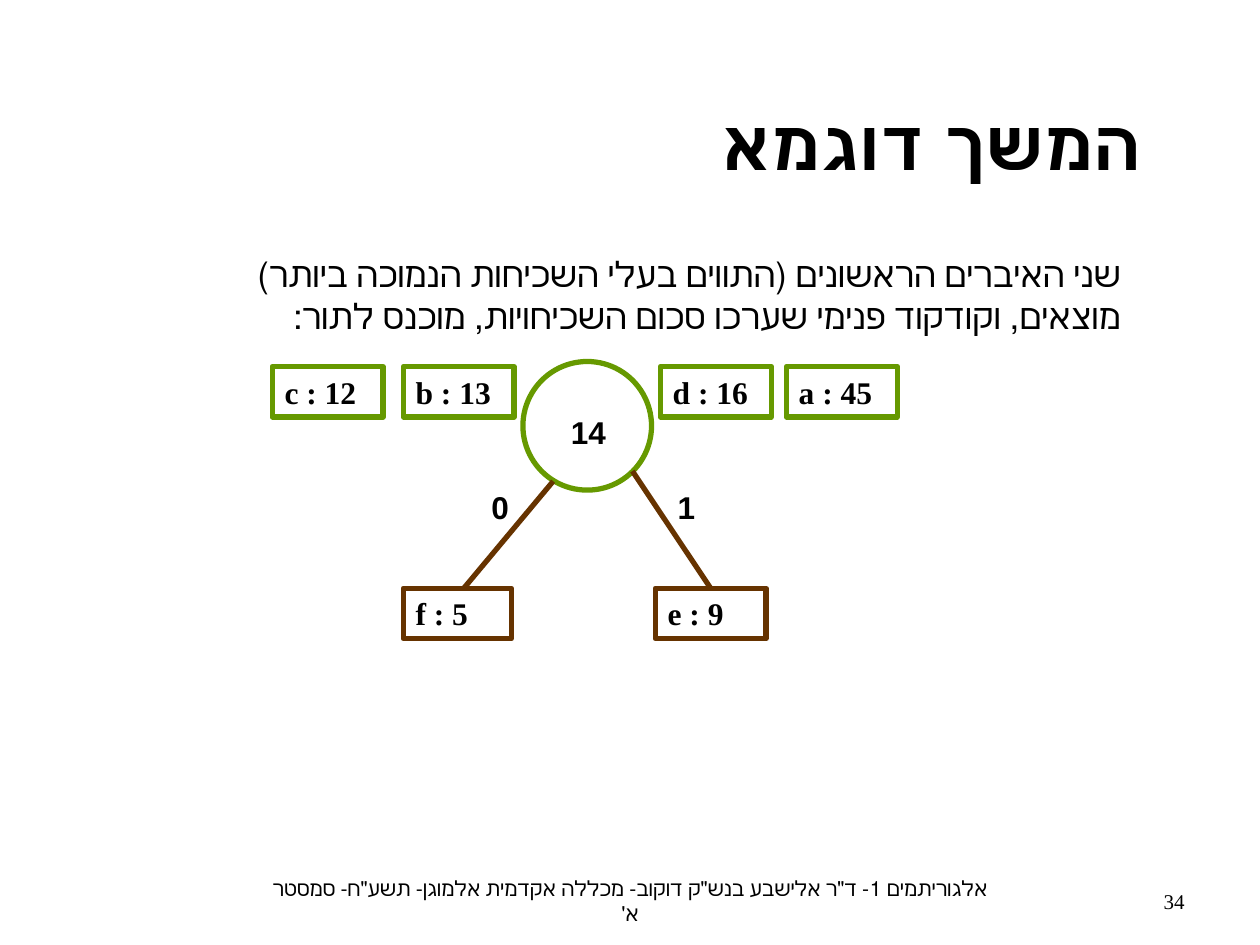
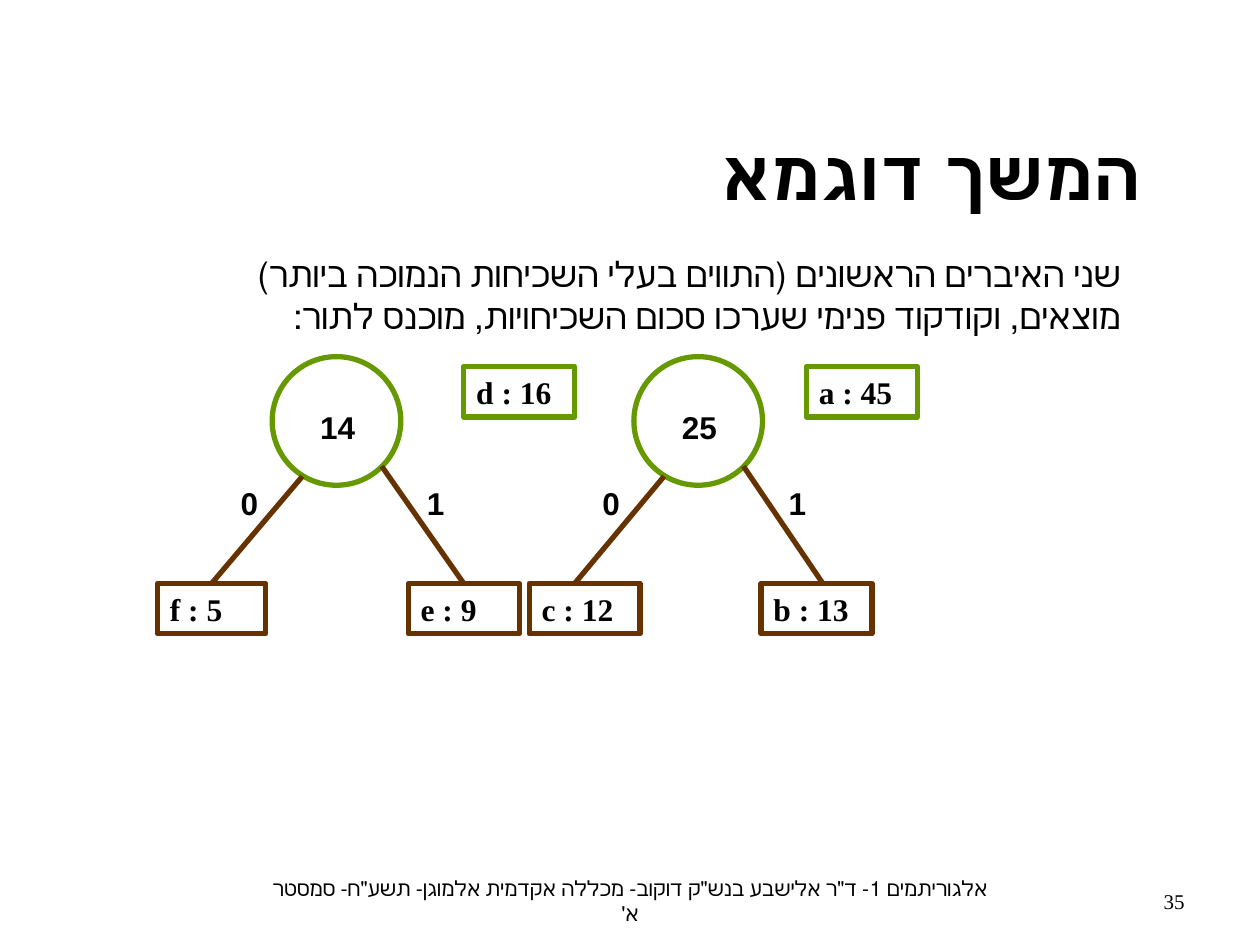
from dataclasses import dataclass

from lxml import etree
from pptx import Presentation
from pptx.dml.color import RGBColor
from pptx.enum.shapes import MSO_CONNECTOR, MSO_SHAPE
from pptx.enum.text import MSO_ANCHOR, MSO_AUTO_SIZE, PP_ALIGN
from pptx.oxml.ns import qn
from pptx.util import Pt

LEFT, CENTER, RIGHT = PP_ALIGN.LEFT, PP_ALIGN.CENTER, PP_ALIGN.RIGHT
TOP, MIDDLE = MSO_ANCHOR.TOP, MSO_ANCHOR.MIDDLE
FIXED = MSO_AUTO_SIZE.NONE
RECTANGLE, OVAL = MSO_SHAPE.RECTANGLE, MSO_SHAPE.OVAL
STRAIGHT = MSO_CONNECTOR.STRAIGHT
TOP_SITE = 0


@dataclass(frozen=True)
class Theme:
    text: RGBColor = RGBColor(0x00, 0x00, 0x00)
    queue: RGBColor = RGBColor(0x66, 0x99, 0x00)
    leaf: RGBColor = RGBColor(0x66, 0x33, 0x00)
    sans: str = "Arial"
    serif: str = "Times New Roman"
    title_size: int = 40
    body_size: int = 20
    node_size: int = 18
    footer_size: int = 12
    line_width: int = 3


THEME = Theme()
TITLE_FONT = {"name": THEME.sans, "size": Pt(THEME.title_size), "bold": True}
BODY_FONT = {"name": THEME.serif, "size": Pt(THEME.body_size), "bold": False}
SYMBOL_FONT = {"name": THEME.serif, "size": Pt(THEME.node_size), "bold": True}
SUM_FONT = {"name": THEME.sans, "size": Pt(THEME.node_size), "bold": True}
FOOTER_FONT = {"name": THEME.serif, "size": Pt(THEME.footer_size), "bold": False}

TITLE = "המשך דוגמא"
STATEMENT = (
    "שני האיברים הראשונים (התווים בעלי השכיחות הנמוכה ביותר) "
    "מוצאים, וקודקוד פנימי שערכו סכום השכיחויות, מוכנס לתור:"
)
FOOTER = (
    "אלגוריתמים 1- ד\"ר אלישבע בנש\"ק דוקוב- "
    "מכללה אקדמית אלמוגן- תשע\"ח- סמסטר א'"
)

BOX_WIDTH, BOX_HEIGHT = 63.4, 28.8
QUEUE_TOP = 209.5
CIRCLE_SIZE = 73.5
LEAF_DROP = 129.6
JOIN_TOLERANCE = 1.5
BRANCHES = (
    {"bit": "0", "bit_left": -25, "start": (17.3, 68.4), "end": -33.8},
    {"bit": "1", "bit_left": 81.4, "start": (62.6, 62.6), "end": 108},
)

SLIDES = (
    {
        "number": "34",
        "title_top": 39.6,
        "queue": (("c : 12", 155.5), ("b : 13", 230.4),
                  ("d : 16", 377.3), ("a : 45", 449.3)),
        "trees": (
            {"sum": "14", "at": (298.8, 206.6),
             "leaves": (("f : 5", 230.4, 61.9), ("e : 9", 374.4, BOX_WIDTH))},
        ),
    },
    {
        "number": "35",
        "title_top": 56.2,
        "queue": (("d : 16", 265), ("a : 45", 460.8)),
        "trees": (
            {"sum": "14", "at": (155.5, 203.8),
             "leaves": (("f : 5", 90, 61.9), ("e : 9", 233.3, BOX_WIDTH))},
            {"sum": "25", "at": (362.2, 203.8),
             "leaves": (("c : 12", 302.4, BOX_WIDTH), ("b : 13", 434.9, BOX_WIDTH))},
        ),
    },
)


def apply_format(target, values):
    for name, value in values.items():
        setattr(target, name, value)


def write_text(shape, text, font, align=LEFT, anchor=TOP, rtl=False):
    frame = shape.text_frame
    apply_format(frame, {"word_wrap": True, "auto_size": FIXED, "vertical_anchor": anchor})
    paragraph = frame.paragraphs[0]
    apply_format(paragraph, {"alignment": align, "space_before": Pt(0)})
    if rtl:
        paragraph._p.get_or_add_pPr().set("rtl", "1")
    run = paragraph.add_run()
    run.text = text
    apply_format(run.font, font)
    run.font.color.rgb = THEME.text
    return paragraph


def fill_placeholder(shape, box, text, font, anchor):
    names = ("left", "top", "width", "height")
    apply_format(shape, dict(zip(names, map(Pt, box))))
    return write_text(shape, text, font, RIGHT, anchor, rtl=True)


def remove_bullet(paragraph):
    properties = paragraph._p.get_or_add_pPr()
    properties.set("marL", "0")
    properties.set("indent", "0")
    etree.SubElement(properties, qn("a:buNone"))


def add_label(slide, box, text, font, align=LEFT, anchor=TOP, rtl=False):
    shape = slide.shapes.add_textbox(*map(Pt, box))
    write_text(shape, text, font, align, anchor, rtl)


def add_outline(slide, preset, box, color):
    shape = slide.shapes.add_shape(preset, *map(Pt, box))
    shape.shadow.inherit = False
    shape.fill.background()
    shape.line.color.rgb = color
    shape.line.width = Pt(THEME.line_width)
    return shape


def add_symbol(slide, text, left, top, color, width=BOX_WIDTH):
    shape = add_outline(slide, RECTANGLE, (left, top, width, BOX_HEIGHT), color)
    write_text(shape, text, SYMBOL_FONT)
    return shape


def add_branch(slide, start, end, leaf):
    connector = slide.shapes.add_connector(STRAIGHT, *map(Pt, start + end))
    connector.line.color.rgb = THEME.leaf
    connector.line.width = Pt(THEME.line_width)
    etree.SubElement(connector._element.spPr, qn("a:effectLst"))
    if abs(leaf.left + leaf.width / 2 - Pt(end[0])) <= Pt(JOIN_TOLERANCE):
        connector.end_connect(leaf, TOP_SITE)


def add_tree(slide, tree):
    left, top = tree["at"]
    add_outline(slide, OVAL, (left, top, CIRCLE_SIZE, CIRCLE_SIZE), THEME.queue)
    add_label(slide, (left + 15, top + 26, 45, BOX_HEIGHT), tree["sum"], SUM_FONT, CENTER)
    leaf_top = top + LEAF_DROP
    for branch, (text, leaf_left, width) in zip(BRANCHES, tree["leaves"]):
        leaf = add_symbol(slide, text, leaf_left, leaf_top, THEME.leaf, width)
        start_x, start_y = branch["start"]
        add_branch(slide, (left + start_x, top + start_y), (left + branch["end"], leaf_top), leaf)
        add_label(slide, (left + branch["bit_left"], top + 69, 28, BOX_HEIGHT),
                  branch["bit"], SUM_FONT)


def add_step(presentation, step):
    slide = presentation.slides.add_slide(presentation.slide_layouts[1])
    title, body = slide.placeholders
    fill_placeholder(title, (101.5, step["title_top"], 558, 84.2), TITLE, TITLE_FONT, MIDDLE)
    statement = fill_placeholder(body, (98.6, 140.4, 549.4, 55.4), STATEMENT, BODY_FONT, TOP)
    remove_bullet(statement)
    for text, left in step["queue"]:
        add_symbol(slide, text, left, QUEUE_TOP, THEME.queue)
    for tree in step["trees"]:
        add_tree(slide, tree)
    add_label(slide, (146.2, 500.4, 427.7, 28.8), FOOTER, FOOTER_FONT, CENTER, MIDDLE, rtl=True)
    add_label(slide, (516.2, 500.4, 167.8, 28.8), step["number"], FOOTER_FONT, RIGHT, MIDDLE)


def main():
    presentation = Presentation()
    presentation.slide_width, presentation.slide_height = Pt(720), Pt(540)
    for step in SLIDES:
        add_step(presentation, step)
    presentation.save("out.pptx")


if __name__ == "__main__":
    main()
